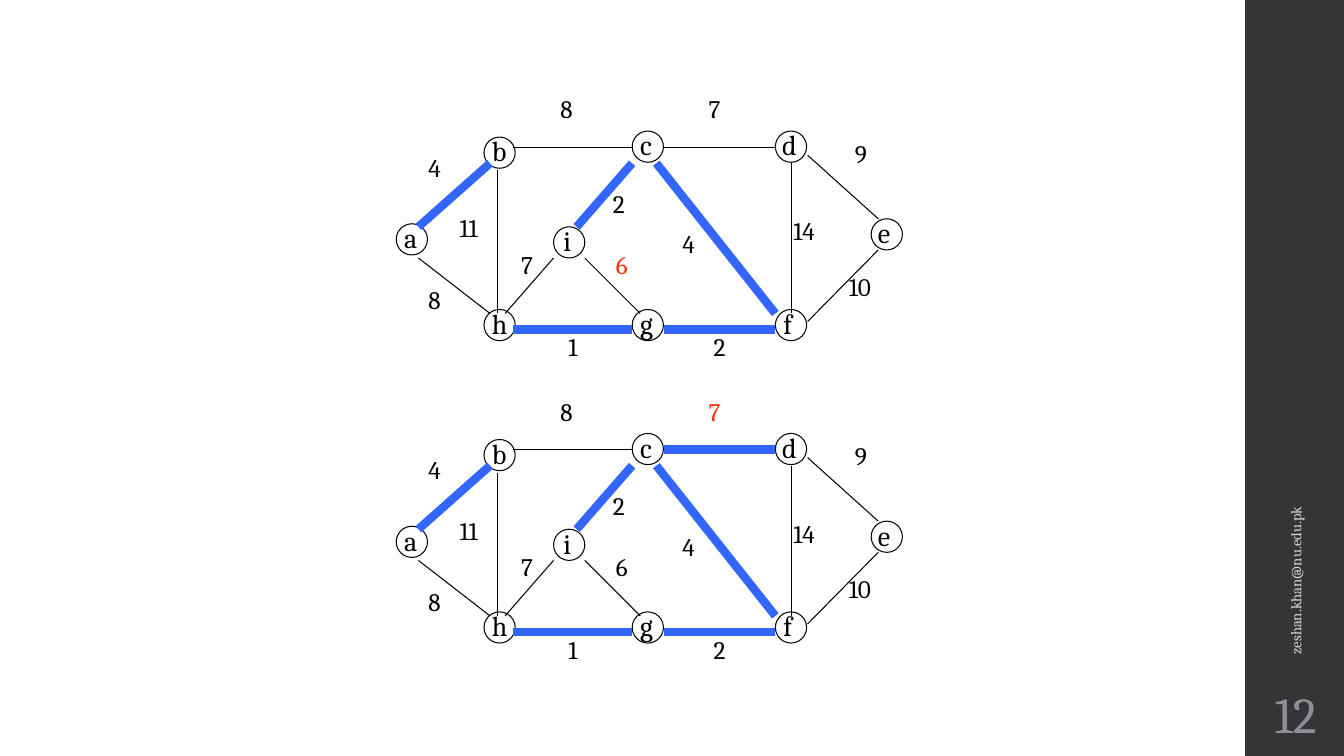
from lxml import etree
from pptx import Presentation
from pptx.dml.color import RGBColor
from pptx.enum.shapes import MSO_CONNECTOR, MSO_SHAPE
from pptx.enum.text import MSO_ANCHOR, MSO_AUTO_SIZE, PP_ALIGN
from pptx.oxml.ns import qn
from pptx.util import Inches, Pt

RECTANGLE, OVAL = MSO_SHAPE.RECTANGLE, MSO_SHAPE.OVAL
STRAIGHT = MSO_CONNECTOR.STRAIGHT
TOP, MIDDLE = MSO_ANCHOR.TOP, MSO_ANCHOR.MIDDLE
LEFT, CENTER = PP_ALIGN.LEFT, PP_ALIGN.CENTER
GROW = MSO_AUTO_SIZE.SHAPE_TO_FIT_TEXT

BLACK, BLUE, RED = "000000", "3366FF", "FF3300"
NODE_SIZE = 0.31

# Node: circle left, circle top, label width, label offset
NODES = {
    "a": (0.03, 1.34, 0.34, -0.02),
    "b": (0.9, 0.48, 0.35, -0.02),
    "h": (0.9, 2.19, 0.35, -0.02),
    "c": (2.37, 0.42, 0.32, -0.02),
    "d": (3.79, 0.42, 0.35, -0.03),
    "e": (4.74, 1.29, 0.34, -0.03),
    "f": (3.79, 2.19, 0.29, -0.02),
    "g": (2.37, 2.19, 0.34, -0.02),
    "i": (1.59, 1.37, 0.28, 0),
}

# Edge: start, end, weight, weight position
EDGES = {
    "ab": ((0.25, 1.37), (0.96, 0.74), 4, (0.25, 0.58)),
    "ah": ((0.25, 1.68), (0.96, 2.23), 8, (0.25, 1.89)),
    "bh": ((1.03, 0.81), (1.03, 2.23), 11, (0.56, 1.18)),
    "bc": ((1.19, 0.58), (2.37, 0.58), 8, (1.56, 0)),
    "hg": ((1.19, 2.39), (2.37, 2.39), 1, (1.64, 2.36)),
    "gf": ((2.69, 2.39), (3.79, 2.39), 2, (3.08, 2.36)),
    "cf": ((2.61, 0.74), (3.79, 2.23), 4, (2.77, 1.34)),
    "cd": ((2.69, 0.58), (3.79, 0.58), 7, (3.03, 0)),
    "df": ((3.95, 0.74), (3.95, 2.23), 14, (3.87, 1.21)),
    "de": ((4.11, 0.66), (4.81, 1.29), 9, (4.48, 0.44)),
    "fe": ((4.11, 2.31), (4.81, 1.6), 10, (4.42, 1.76)),
    "ig": ((1.9, 1.68), (2.45, 2.23), 6, (2.11, 1.54)),
    "hi": ((1.11, 2.23), (1.59, 1.68), 7, (1.17, 1.54)),
    "ic": ((1.82, 1.37), (2.37, 0.74), 2, (2.08, 0.94)),
}


def color(value):
    return RGBColor.from_string(value)


def add_text(shapes, box, text, size, value, align=LEFT, **frame_format):
    shape = shapes.add_textbox(*map(Inches, box))
    frame = shape.text_frame
    for name, setting in frame_format.items():
        setattr(frame, name, setting)
    paragraph = frame.paragraphs[0]
    paragraph.text = text
    paragraph.alignment = align
    font = paragraph.runs[0].font
    for name, setting in {"name": "Cambria", "size": Pt(size)}.items():
        setattr(font, name, setting)
    font.color.rgb = color(value)
    return shape


def add_edge(shapes, start, end, value, width):
    line = shapes.add_connector(STRAIGHT, *map(Inches, start + end))
    line.line.color.rgb = color(value)
    line.line.width = Pt(width)
    properties = line._element.find(qn("p:spPr"))
    etree.SubElement(properties, qn("a:effectLst"))


def add_graph(slide, left, top, tree, newest):
    """Draw the graph with its tree edges thick and the newest weight red."""
    shapes = slide.shapes.add_group_shape().shapes
    label_format = {"word_wrap": False, "auto_size": GROW, "vertical_anchor": TOP}

    # Nodes
    for label, (x, y, width, offset) in NODES.items():
        box = (left + x + offset, top + y - 0.08, width, 0.44)
        add_text(shapes, box, label, 20, BLACK, **label_format)
        circle = shapes.add_shape(OVAL, Inches(left + x), Inches(top + y),
                                  Inches(NODE_SIZE), Inches(NODE_SIZE))
        circle.shadow.inherit = False
        circle.fill.background()
        circle.line.color.rgb = color(BLACK)
        circle.line.width = Pt(0.75)

    # Edges
    for edge, (start, end, _, _) in EDGES.items():
        value, width = (BLUE, 6) if edge in tree else (BLACK, 0.75)
        add_edge(shapes, (left + start[0], top + start[1]),
                 (left + end[0], top + end[1]), value, width)

    # Weights
    for edge, (_, _, weight, (x, y)) in EDGES.items():
        box = (left + x, top + y, 0.46 if weight > 9 else 0.33, 0.4)
        add_text(shapes, box, str(weight), 18, RED if edge == newest else BLACK,
                 **label_format)


def add_sidebar(slide, left, top, width, height):
    bar = slide.shapes.add_shape(RECTANGLE, *map(Inches, (left, top, width, height)))
    bar.shadow.inherit = False
    bar.fill.solid()
    bar.fill.fore_color.rgb = color("353537")
    bar.line.fill.background()

    # Vertical footer
    length = 3.92
    box = (left + width / 2 - length / 2, top + 4.43, length, 0.4)
    footer = add_text(slide.shapes, box, "zeshan.khan@nu.edu.pk", 10.5, "D9D9DB",
                      word_wrap=True, vertical_anchor=MIDDLE)
    footer.rotation = 270

    # Slide number
    margins = {f"margin_{side}": Inches(0.05)
               for side in ("left", "top", "right", "bottom")}
    add_text(slide.shapes, (left, top + 6.75, width, 0.65), "12", 36, "8E8E94",
             CENTER, word_wrap=True, vertical_anchor=MIDDLE, **margins)


def main():
    presentation = Presentation()
    presentation.slide_width = Inches(13.33)
    presentation.slide_height = Inches(7.5)
    slide = presentation.slides.add_slide(presentation.slide_layouts[6])
    add_sidebar(slide, 12.35, 0, 1, 7.5)
    tree = {"ab", "hg", "gf", "cf", "ic"}
    add_graph(slide, 3.9, 3.88, tree | {"cd"}, "cd")
    add_graph(slide, 3.9, 0.88, tree, "ig")
    presentation.save("out.pptx")


if __name__ == "__main__":
    main()
